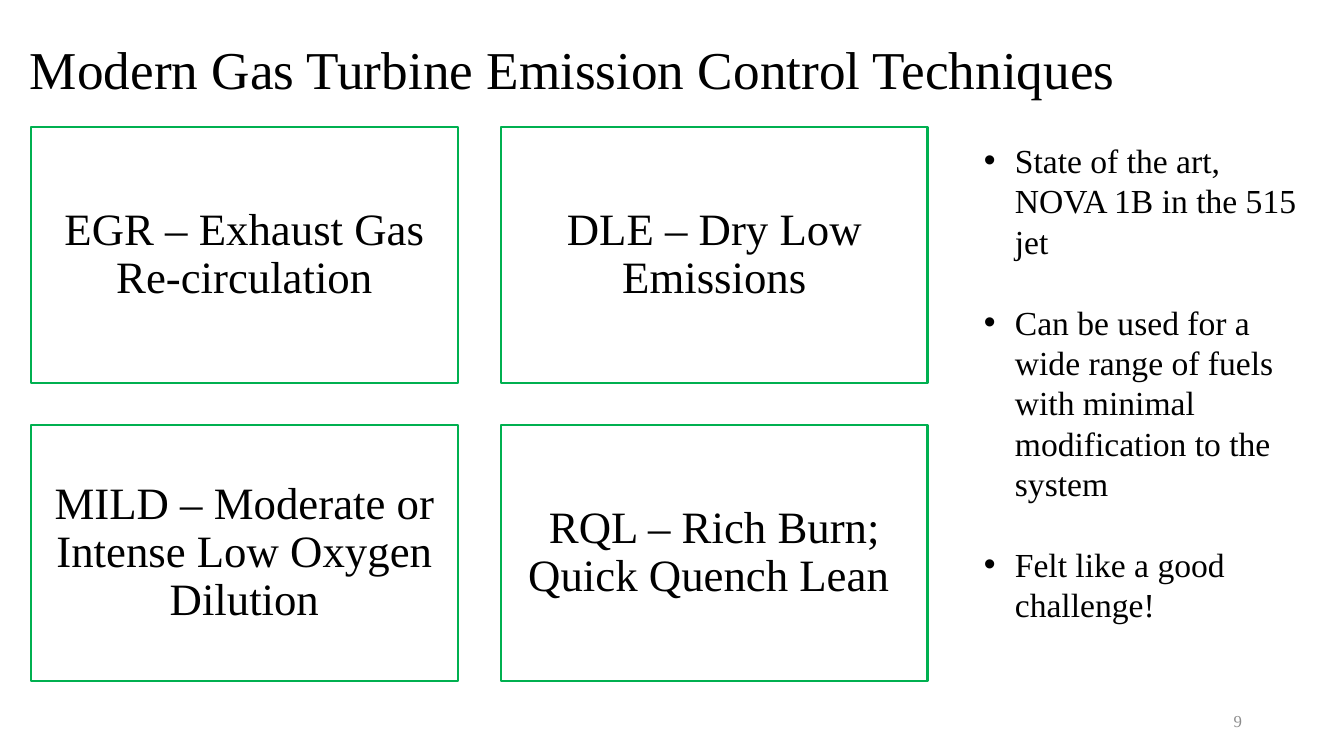
import pptx
import pptx.dml.color
import pptx.enum.shapes
import pptx.enum.text
import pptx.util
from lxml import etree

PX = 914400 / 100.8
ALIGN = pptx.enum.text.PP_ALIGN
ANCHOR = pptx.enum.text.MSO_ANCHOR


def px(*lengths):
    """Turn pixel lengths into a list of EMU values."""
    return [round(n * PX) for n in lengths]


def style(p, size, color, align=ALIGN.LEFT, spacing=1.0):
    p.alignment = align
    p.line_spacing = spacing
    for r in p.runs:
        r.font.name = "Times New Roman"
        r.font.size = pptx.util.Pt(size)
        r.font.color.rgb = pptx.dml.color.RGBColor.from_string(color)


prs = pptx.Presentation()
prs.slide_width, prs.slide_height = px(1344, 756)
s = prs.slides.add_slide(prs.slide_layouts[6])

# Title and slide number
labels = [
    ("Modern Gas Turbine Emission Control Techniques",
     (20, 34, 1304, 72), 38, "000000", ALIGN.LEFT, 0.9, ANCHOR.BOTTOM),
    ("9", (950, 701, 302, 40), 12, "8C8C8C", ALIGN.RIGHT, 1.0, ANCHOR.MIDDLE),
]
for text, box, size, color, align, spacing, anchor in labels:
    tf = s.shapes.add_textbox(*px(*box)).text_frame
    tf.word_wrap = True
    tf.vertical_anchor = anchor
    tf.text = text
    style(tf.paragraphs[0], size, color, align, spacing)

# Two by two grid of techniques
techniques = [
    "EGR – Exhaust Gas Re-circulation",
    "DLE – Dry Low Emissions",
    "MILD – Moderate or Intense Low Oxygen Dilution",
    "RQL – Rich Burn; Quick Quench Lean ",
]
for i, text in enumerate(techniques):
    row, col = divmod(i, 2)
    sp = s.shapes.add_shape(pptx.enum.shapes.MSO_SHAPE.RECTANGLE,
                            *px(31 + 470 * col, 127 + 298 * row, 427, 256))
    sp.shadow.inherit = False
    sp.fill.background()
    sp.line.color.rgb = pptx.dml.color.RGBColor.from_string("00B050")
    sp.line.width = pptx.util.Pt(2)
    tf = sp.text_frame
    tf.word_wrap = True
    tf.vertical_anchor = ANCHOR.MIDDLE
    tf.margin_left, tf.margin_top, tf.margin_right, tf.margin_bottom = px(13, 13, 13, 13)
    tf.text = text
    style(tf.paragraphs[0], 32, "000000", ALIGN.CENTER, 0.9)

# Bulleted reasons
reasons = [
    "State of the art, NOVA 1B in the 515 jet",
    "Can be used for a wide range of fuels with minimal modification to the system",
    "Felt like a good challenge!",
]
indent, = px(31)
tf = s.shapes.add_textbox(*px(974, 135, 340, 581)).text_frame
tf.word_wrap = True
for i, text in enumerate(reasons):
    p = tf.add_paragraph() if i else tf.paragraphs[0]
    p.text = text
    style(p, 24, "000000")
    if i:
        p.space_before = pptx.util.Pt(29)
    pPr = p._p.get_or_add_pPr()
    pPr.set("marL", str(indent))
    pPr.set("indent", str(-indent))
    for tag, key, value in (("buFont", "typeface", "Arial"), ("buChar", "char", "•")):
        etree.SubElement(pPr, pptx.oxml.ns.qn("a:" + tag)).set(key, value)

prs.save("out.pptx")
